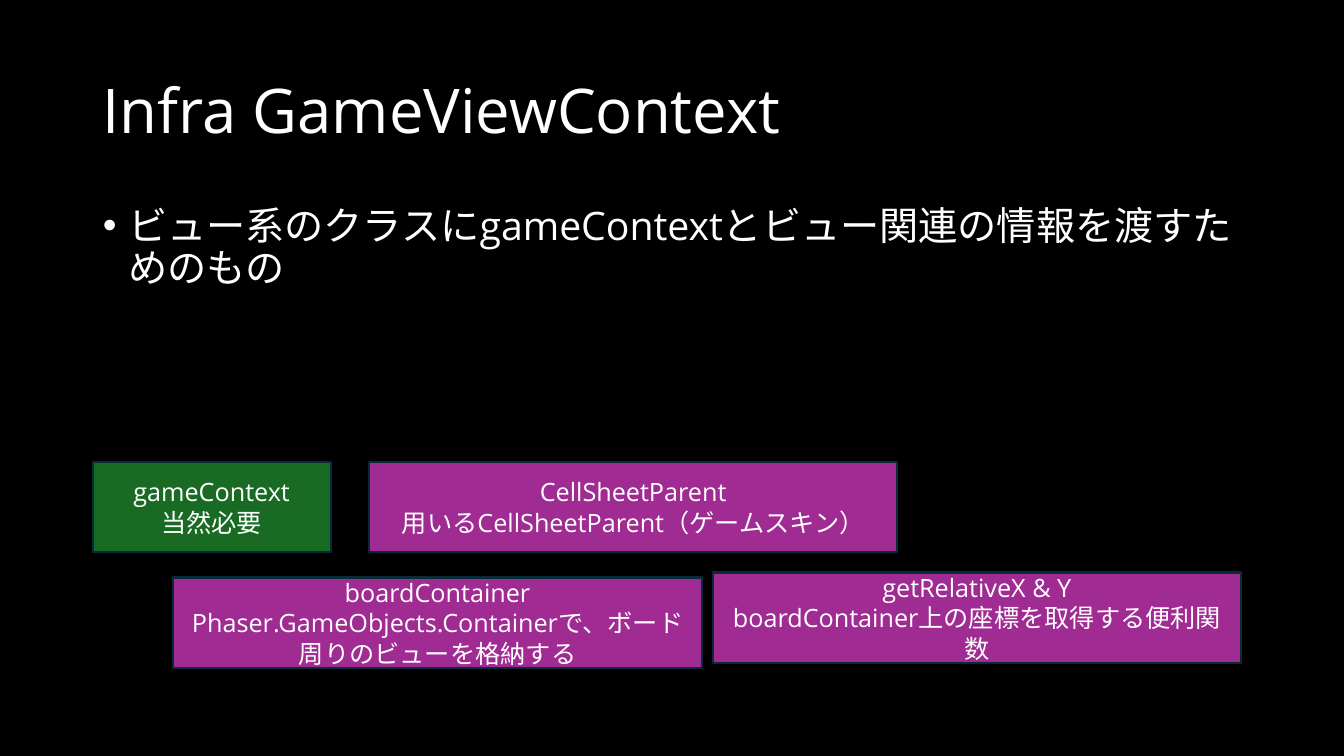
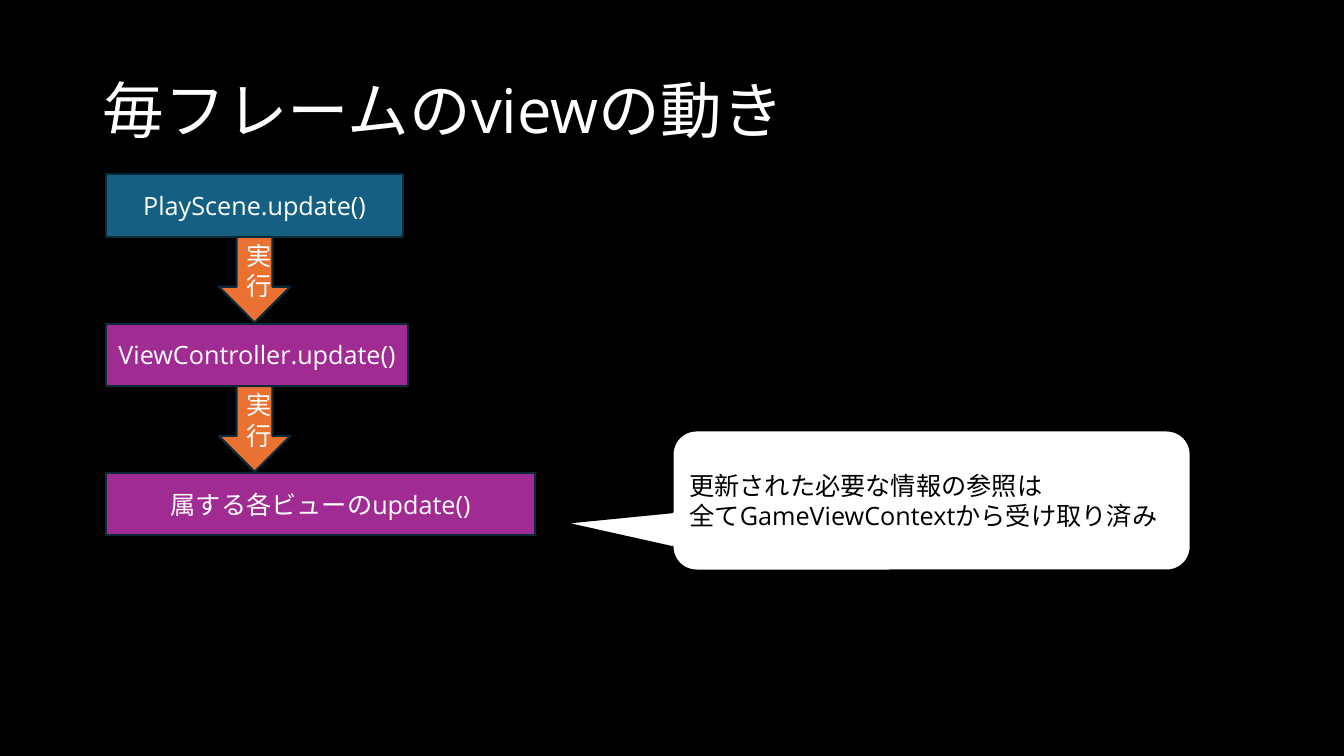
from pptx import Presentation
from pptx import util as u
from pptx.dml.color import RGBColor
from pptx.enum import shapes, text
from pptx.oxml.ns import qn
from lxml import etree

FONT = "Open Sans"
BLACK, WHITE, OUTLINE = "000000", "FFFFFF", "092A39"
GREEN, PURPLE, BLUE, ORANGE = "196B24", "A02B93", "156082", "E97132"
TITLE_BOX = (0.92, 0.4, 11.5, 1.45)
BODY_BOX = (0.92, 2, 11.5, 4.76)
LEFT, CENTER = text.PP_ALIGN.LEFT, text.PP_ALIGN.CENTER
KIND = shapes.MSO_SHAPE


def paint(target, color):
    """Give a fill, or a font's fill, one solid colour."""
    target.solid()
    target.fore_color.rgb = RGBColor.from_string(color)


def place(shape, box):
    shape.left, shape.top, shape.width, shape.height = map(u.Inches, box)


def write(frame, lines, size, color=WHITE, align=CENTER, anchor=text.MSO_ANCHOR.MIDDLE):
    """Write one paragraph per line, in the deck's font."""
    frame.word_wrap = True
    frame.auto_size = text.MSO_AUTO_SIZE.NONE
    frame.vertical_anchor = anchor
    for index, line in enumerate(lines):
        para = frame.add_paragraph() if index else frame.paragraphs[0]
        para.alignment = align
        span = para.add_run()
        span.text = line
        span.font.size = u.Pt(size)
        paint(span.font.fill, color)
        span.font.name = FONT
        east_asian = etree.SubElement(span.font._element, qn("a:ea"))
        east_asian.set("typeface", FONT)


def add_block(page, box, lines, fill, kind=KIND.RECTANGLE, line=OUTLINE,
              color=WHITE, align=CENTER):
    block = page.shapes.add_shape(kind, *map(u.Inches, box))
    block.shadow.inherit = False
    paint(block.fill, fill)
    paint(block.line.fill, line)
    block.line.width = u.Pt(1.5)
    write(block.text_frame, lines, 18, color, align)
    return block


def add_page(deck, layout, title):
    page = deck.slides.add_slide(deck.slide_layouts.get_by_name(layout))
    place(page.shapes.title, TITLE_BOX)
    write(page.shapes.title.text_frame, [title], 44, align=LEFT)
    page.shapes.title.text_frame.paragraphs[0].line_spacing = 0.9
    return page


def add_bullets(page, box, lines):
    body = page.placeholders[1]
    place(body, box)
    write(body.text_frame, lines, 28, align=LEFT, anchor=text.MSO_ANCHOR.TOP)
    for para in body.text_frame.paragraphs:
        para.line_spacing = 0.9
        para.space_before = u.Pt(10)
        # Hanging bullet
        properties = para._p.get_or_add_pPr()
        properties.set("marL", str(u.Inches(0.25)))
        properties.set("indent", str(-u.Inches(0.25)))
        etree.SubElement(properties, qn("a:buChar")).set("char", "•")


def add_members(page, left, top):
    """Blocks for the members of the context, in two staggered rows."""
    wide, high = 5.24, 0.9
    members = [
        (0, 0, 2.36, GREEN, ["gameContext", "当然必要"]),
        (2.74, 0, wide, PURPLE, ["CellSheetParent", "用いるCellSheetParent（ゲームスキン）"]),
        (0.8, 1.15, wide, PURPLE,
         ["boardContainer", "Phaser.GameObjects.Containerで、ボード周りのビューを格納する"]),
        (6.15, 1.1, wide, PURPLE,
         ["getRelativeX & Y", "boardContainer上の座標を取得する便利関数"]),
    ]
    for across, down, width, fill, lines in members:
        add_block(page, (left + across, top + down, width, high), lines, fill)


def add_call_chain(page, left, top):
    """Calls from top to bottom, with an arrow between each two."""
    high, pitch = 0.62, 1.48
    calls = [
        ("PlayScene.update()", 2.95, BLUE),
        ("ViewController.update()", 3, PURPLE),
        ("属する各ビューのupdate()", 4.26, PURPLE),
    ]
    for index, (label, width, fill) in enumerate(calls):
        y = top + index * pitch
        add_block(page, (left, y, width, high), [label], fill)
        if index < len(calls) - 1:
            add_block(page, (left + 1.12, y + high, 0.71, 0.85), ["実行"],
                      ORANGE, KIND.DOWN_ARROW)


def add_callout(page, box, lines):
    callout = add_block(page, box, lines, WHITE, KIND.ROUNDED_RECTANGULAR_CALLOUT,
                        BLACK, BLACK, LEFT)
    # Tip of the pointer, then corner radius
    for index, value in enumerate((-0.71, 0.16, 0.17)):
        callout.adjustments[index] = value


def build_context_page(deck):
    page = add_page(deck, "Title and Content", "Infra GameViewContext")
    add_bullets(page, BODY_BOX, ["ビュー系のクラスにgameContextとビュー関連の情報を渡すためのもの"])
    add_members(page, 0.92, 4.58)


def build_frame_page(deck):
    page = add_page(deck, "Title Only", "毎フレームのviewの動き")
    add_call_chain(page, 1.05, 1.73)
    add_callout(page, (6.67, 4.27, 5.14, 1.39),
                ["更新された必要な情報の参照は", "全てGameViewContextから受け取り済み"])


def main():
    deck = Presentation()
    deck.slide_width, deck.slide_height = u.Inches(13.33), u.Inches(7.5)
    paint(deck.slide_master.background.fill, BLACK)
    build_context_page(deck)
    build_frame_page(deck)
    deck.save("out.pptx")


if __name__ == "__main__":
    main()
